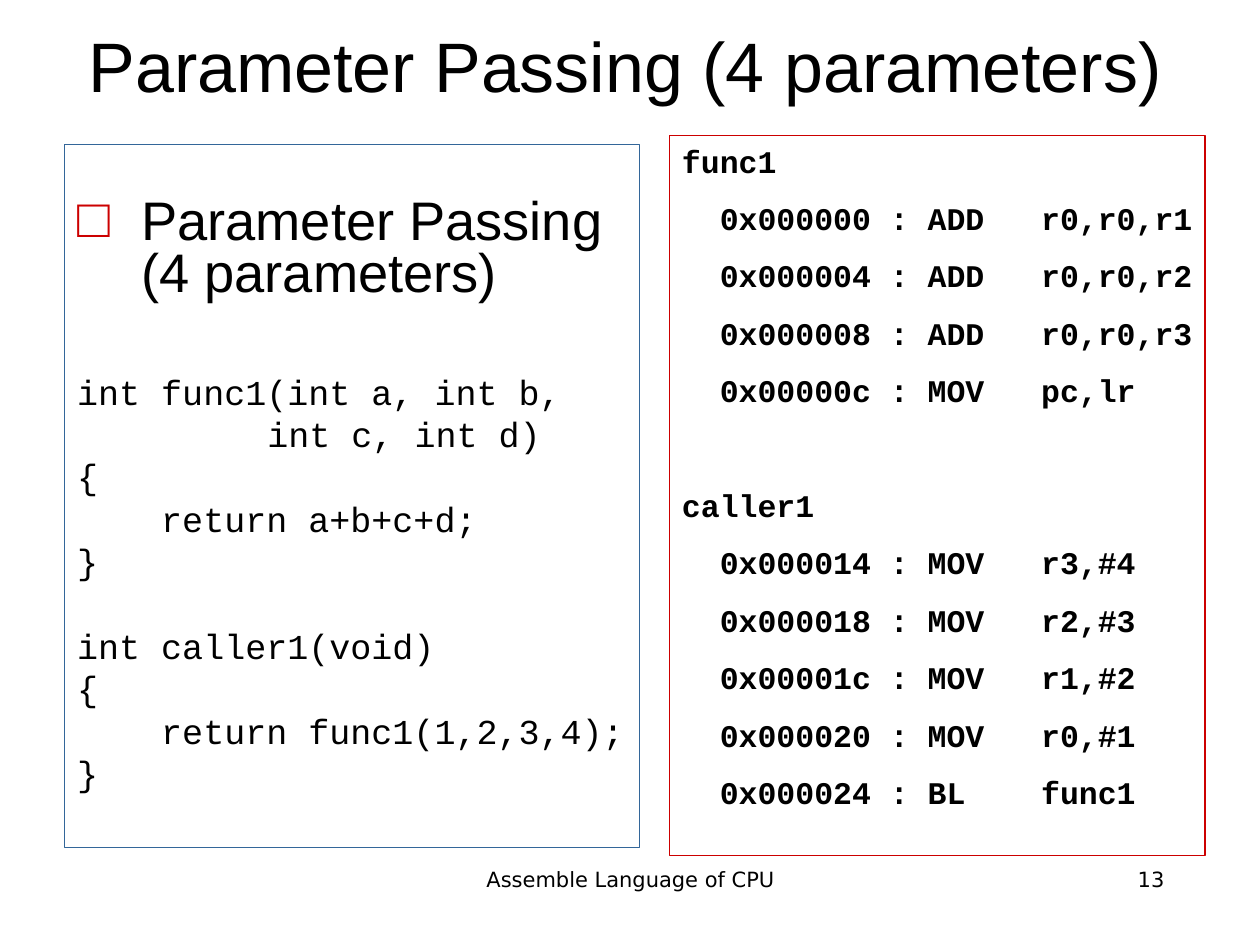
from lxml.etree import SubElement
from pptx import Presentation
from pptx.dml.color import RGBColor
from pptx.enum.shapes import MSO_SHAPE
from pptx.enum.text import MSO_ANCHOR, PP_ALIGN
from pptx.oxml.ns import qn
from pptx.util import Inches, Pt

WIDTH, HEIGHT = Inches(10), Inches(7.5)
COLUMN, ROW = WIDTH / 100, HEIGHT / 100
INDENT = Inches(0.51)
BLACK, BLUE, RED = "000000", "336699", "CC0000"

HEADING = "Parameter Passing (4 parameters)"
SOURCE_BLOCKS = [
    ["int func1(int a, int b,", "\t\t\tint c, int d)", "{",
     "    return a+b+c+d;", "}"],
    ["int caller1(void)", "{", "    return func1(1,2,3,4);", "}"],
]
ASSEMBLY_BLOCKS = [
    ["func1", "  0x000000 : ADD   r0,r0,r1", "  0x000004 : ADD   r0,r0,r2",
     "  0x000008 : ADD   r0,r0,r3", "  0x00000c : MOV   pc,lr"],
    ["caller1", "  0x000014 : MOV   r3,#4", "  0x000018 : MOV   r2,#3",
     "  0x00001c : MOV   r1,#2", "  0x000020 : MOV   r0,#1",
     "  0x000024 : BL    func1"],
]


def color(hex_code):
    return RGBColor.from_string(hex_code)


def grid(left, top, width, height):
    """Turn columns and rows of a 100 by 100 grid into slide lengths."""
    return (round(left * COLUMN), round(top * ROW),
            round(width * COLUMN), round(height * ROW))


def write(paragraph, text, font_name, size, bold=False):
    paragraph.text = text
    for run in paragraph.runs:
        font = run.font
        font.name, font.size, font.bold = font_name, Pt(size), bold
        font.color.rgb = color(BLACK)


def add_label(slide, area, text, font_name, size, alignment):
    frame = slide.shapes.add_textbox(*grid(*area)).text_frame
    frame.word_wrap = True
    paragraph = frame.paragraphs[0]
    write(paragraph, text, font_name, size)
    paragraph.alignment = alignment


def add_panel(slide, area, border, anchor):
    """Add an outlined rectangle and return its text frame."""
    panel = slide.shapes.add_shape(MSO_SHAPE.RECTANGLE, *grid(*area))
    panel.shadow.inherit = False
    panel.fill.background()
    panel.line.color.rgb = color(border)
    panel.line.width = Pt(0.75)
    frame = panel.text_frame
    frame.word_wrap = True
    frame.vertical_anchor = anchor
    return frame


def set_hanging_indent(paragraph):
    properties = paragraph._p.get_or_add_pPr()
    properties.set("marL", str(INDENT))
    properties.set("indent", str(-INDENT))
    return properties


def add_bullet(properties, symbol, hex_code):
    bullet_color = SubElement(properties, qn("a:buClr"))
    SubElement(bullet_color, qn("a:srgbClr"), val=hex_code)
    SubElement(properties, qn("a:buFont"), typeface="Arial")
    SubElement(properties, qn("a:buChar"), char=symbol)


def add_inch_tabs(properties):
    tabs = SubElement(properties, qn("a:tabLst"))
    for inch in range(1, 8):
        SubElement(tabs, qn("a:tab"), pos=str(Inches(inch)), algn="l")


def spaced_lines(blocks, line_gap, block_gap):
    """Yield each code line with the space that goes before it."""
    for block in blocks:
        for number, line in enumerate(block):
            yield line, line_gap if number else block_gap


def add_source_panel(slide):
    frame = add_panel(slide, (5.14, 15.3, 45.6, 74.4), BLUE, MSO_ANCHOR.MIDDLE)
    heading = frame.paragraphs[0]
    add_bullet(set_hanging_indent(heading), "□", RED)
    write(heading, HEADING, "Arial", 31)
    heading.alignment = PP_ALIGN.LEFT
    heading.line_spacing = 0.8

    for line, gap in spaced_lines(SOURCE_BLOCKS, 5, 29.3):
        first_line = len(frame.paragraphs) == 1
        paragraph = frame.add_paragraph()
        add_inch_tabs(set_hanging_indent(paragraph))
        write(paragraph, line, "Courier New", 20)
        paragraph.alignment = PP_ALIGN.LEFT
        paragraph.line_spacing = 0.8
        paragraph.space_before = Pt(43 if first_line else gap)


def add_assembly_panel(slide):
    frame = add_panel(slide, (53.14, 14.33, 42.5, 76.2), RED, MSO_ANCHOR.TOP)
    for number, (line, gap) in enumerate(spaced_lines(ASSEMBLY_BLOCKS, 11.2, 44)):
        paragraph = frame.add_paragraph() if number else frame.paragraphs[0]
        write(paragraph, line, "Courier New", 18, bold=True)
        paragraph.alignment = PP_ALIGN.LEFT
        if number:
            paragraph.space_before = Pt(gap)


def main():
    presentation = Presentation()
    presentation.slide_width, presentation.slide_height = WIDTH, HEIGHT
    slide = presentation.slides.add_slide(presentation.slide_layouts[6])

    add_label(slide, (34.2, 91, 31.7, 7), "Assemble Language of CPU",
              "DejaVu Sans", 12, PP_ALIGN.CENTER)
    add_label(slide, (71.7, 91, 21.7, 7), "13",
              "DejaVu Sans", 12, PP_ALIGN.RIGHT)
    add_source_panel(slide)
    add_assembly_panel(slide)
    add_label(slide, (5.1, 1.7, 89, 10.3), HEADING,
              "Arial", 40, PP_ALIGN.CENTER)
    presentation.save("out.pptx")


if __name__ == "__main__":
    main()
